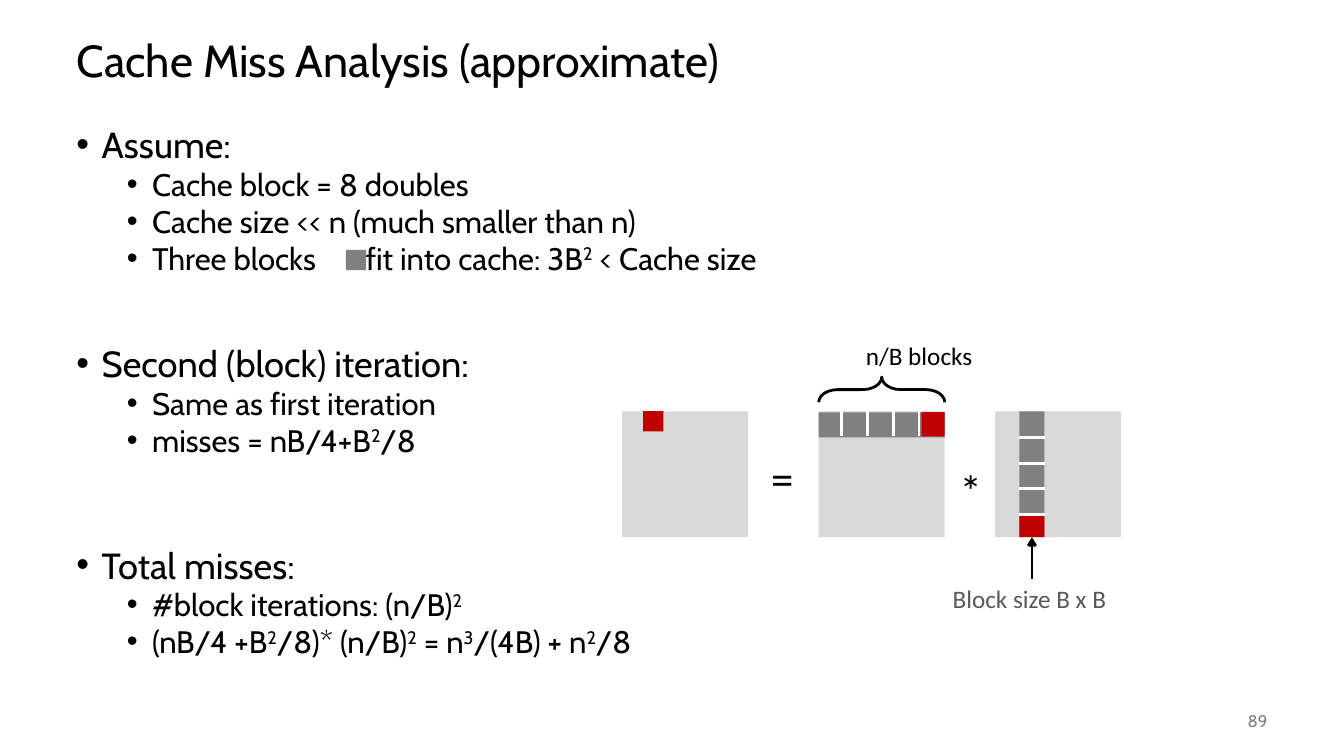
from lxml import etree
from pptx import Presentation
from pptx import util as u
from pptx.dml.color import RGBColor
from pptx.enum import shapes, text
from pptx.oxml.ns import qn

PX = 9144  # EMU per px, 100 px to the inch
COLORS = {"ink": "000000", "matrix": "D9D9D9", "block": "808080",
          "current": "C00000", "gap": "FFFFFF", "caption": "595959"}
SIDE = 125  # side of a matrix
BLOCK = 25  # side of one block
PITCH = 25.5  # distance between block borders

SECTIONS = [
    (125, "Assume:", ["Cache block = 8 doubles",
                      "Cache size << n (much smaller than n)",
                      "Three blocks\tfit into cache: 3B^2^ < Cache size"]),
    (342, "Second (block) iteration:", ["Same as first iteration",
                                        "misses = nB/4+B^2^/8"]),
    (542, "Total misses:", ["#block iterations: (n/B)^2^",
                            "(nB/4 +B^2^/8)* (n/B)^2^ = n^3^/(4B) + n^2^/8"]),
]


def rgb(color):
    return RGBColor.from_string(COLORS[color])


def emu(*lengths):
    return [u.Emu(round(length * PX)) for length in lengths]


def add_frame(slide, box, anchor=text.MSO_ANCHOR.TOP):
    frame = slide.shapes.add_textbox(*emu(*box)).text_frame
    frame.word_wrap = True
    frame.vertical_anchor = anchor
    return frame


def add_runs(paragraph, words, size, font="Cabin", color="ink"):
    """Write words into a paragraph; parts between ^ marks are superscript."""
    for i, part in enumerate(words.split("^")):
        if not part:
            continue
        run = paragraph.add_run()
        run.text = part
        run.font.size = u.Pt(size)
        run.font.name = font
        run.font.color.rgb = rgb(color)
        if i % 2:
            run.font._element.set("baseline", "30000")


def add_bullet(paragraph, indent, tab=None):
    props = paragraph._p.get_or_add_pPr()
    props.set("marL", str(indent * PX))
    props.set("indent", str(-25 * PX))
    etree.SubElement(props, qn("a:buFont")).set("typeface", "Arial")
    etree.SubElement(props, qn("a:buChar")).set("char", "•")
    if tab:
        stops = etree.SubElement(props, qn("a:tabLst"))
        stop = etree.SubElement(stops, qn("a:tab"))
        stop.set("pos", str(tab * PX))
        stop.set("algn", "l")


def add_label(slide, box, words, size=18, color="ink"):
    frame = add_frame(slide, box)
    frame.word_wrap = False
    frame.auto_size = text.MSO_AUTO_SIZE.SHAPE_TO_FIT_TEXT
    add_runs(frame.paragraphs[0], words, size, "Calibri", color)
    return frame._parent


def add_rect(slide, box, color):
    rect = slide.shapes.add_shape(shapes.MSO_SHAPE.RECTANGLE, *emu(*box))
    rect.shadow.inherit = False
    rect.fill.solid()
    rect.fill.fore_color.rgb = rgb(color)
    rect.line.fill.background()
    return rect


def add_line(slide, ends, color):
    line = slide.shapes.add_connector(shapes.MSO_CONNECTOR.STRAIGHT, *emu(*ends))
    line.line.color.rgb = rgb(color)
    line.line.width = u.Pt(2)
    etree.SubElement(line._element.spPr, qn("a:effectLst"))
    return line


def draw_title(slide, box):
    title = add_frame(slide, box, text.MSO_ANCHOR.MIDDLE).paragraphs[0]
    title.line_spacing = 0.9
    add_runs(title, "Cache Miss Analysis (approximate)", 32)


def draw_section(slide, box, heading, points):
    frame = add_frame(slide, box)
    topic = frame.paragraphs[0]
    topic.line_spacing = 0.8
    add_bullet(topic, 25)
    add_runs(topic, heading, 25.9)
    for point in points:
        detail = frame.add_paragraph()
        detail.level = 1
        detail.line_spacing = 0.8
        detail.space_before = u.Pt(5)
        add_bullet(detail, 75, tab=287 if "\t" in point else None)
        add_runs(detail, point, 22.2)


def draw_result(slide, left, top):
    add_rect(slide, (left, top, SIDE, SIDE), "matrix")
    add_rect(slide, (left + 21, top, 20, 20), "current")


def draw_row_operand(slide, left, top):
    """Matrix whose top row of blocks is read, under a brace."""
    add_rect(slide, (left, top, SIDE, SIDE), "matrix")
    add_rect(slide, (left, top + 1, SIDE, BLOCK), "block")
    for i in range(4):
        x = left + 23 + i * PITCH
        add_line(slide, (x, top, x, top + BLOCK), "gap")
    add_rect(slide, (left + 102, top + 1, 23, 24), "current")

    brace = slide.shapes.add_shape(
        shapes.MSO_SHAPE.LEFT_BRACE, *emu(left + 50, top - 84, 25, SIDE))
    brace.rotation = 90
    brace.adjustments[0] = 0.75
    brace.shadow.inherit = False
    brace.fill.background()
    brace.line.color.rgb = rgb("ink")
    brace.line.width = u.Pt(2)
    add_label(slide, (left + 37, top - 75, 130, 40), "n/B blocks")


def draw_column_operand(slide, left, top):
    """Matrix whose second column of blocks is read, with its block size."""
    add_rect(slide, (left, top, SIDE, SIDE), "matrix")
    column = left + 24
    add_rect(slide, (column, top, BLOCK, SIDE), "block")
    for i in range(4):
        y = top + 26 + i * PITCH
        add_line(slide, (column, y, column + BLOCK, y), "gap")
    current = add_rect(slide, (column, top + 104, BLOCK, 21), "current")

    caption = add_label(slide, (left - 52, top + 166, 177, 40),
                        "Block size B x B", color="caption")
    arrow = add_line(slide, (column, top + 166, column, top + SIDE), "ink")
    arrow.begin_connect(caption, 0)
    arrow.end_connect(current, 2)
    etree.SubElement(arrow.line._get_or_add_ln(), qn("a:tailEnd")).set("type", "arrow")


def draw_product(slide, left, top):
    draw_result(slide, left, top)
    add_label(slide, (left + 138, top + 34, 43, 64), "=", 32)
    draw_row_operand(slide, left + 195, top)
    add_label(slide, (left + 325, top + 46, 43, 64), "*", 32)
    draw_column_operand(slide, left + 370, top)


def draw_page_number(slide, box):
    number = add_frame(slide, box, text.MSO_ANCHOR.MIDDLE).paragraphs[0]
    number.alignment = text.PP_ALIGN.RIGHT
    add_runs(number, "89", 12, color="block")


def main():
    deck = Presentation()
    deck.slide_width, deck.slide_height = emu(1333, 750)
    slide = deck.slides.add_slide(deck.slide_layouts[6])
    draw_title(slide, (66, 25, 1200, 75))
    for top, heading, points in SECTIONS:
        draw_section(slide, (66, top, 1200, 150), heading, points)
    add_rect(slide, (343, 248, 20, 20), "block")
    draw_product(slide, 617, 408)
    draw_page_number(slide, (1167, 695, 100, 40))
    deck.save("out.pptx")


if __name__ == "__main__":
    main()
